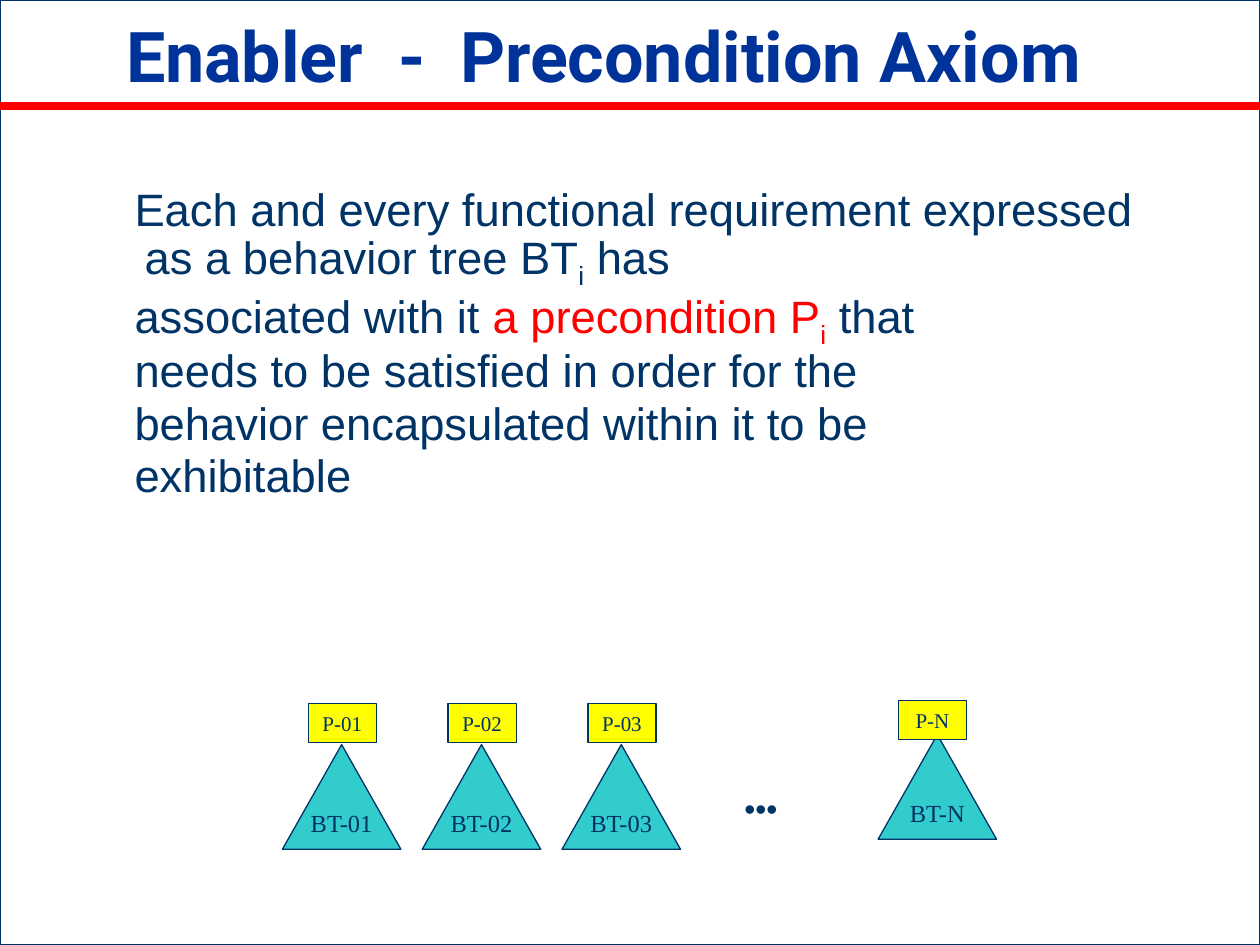
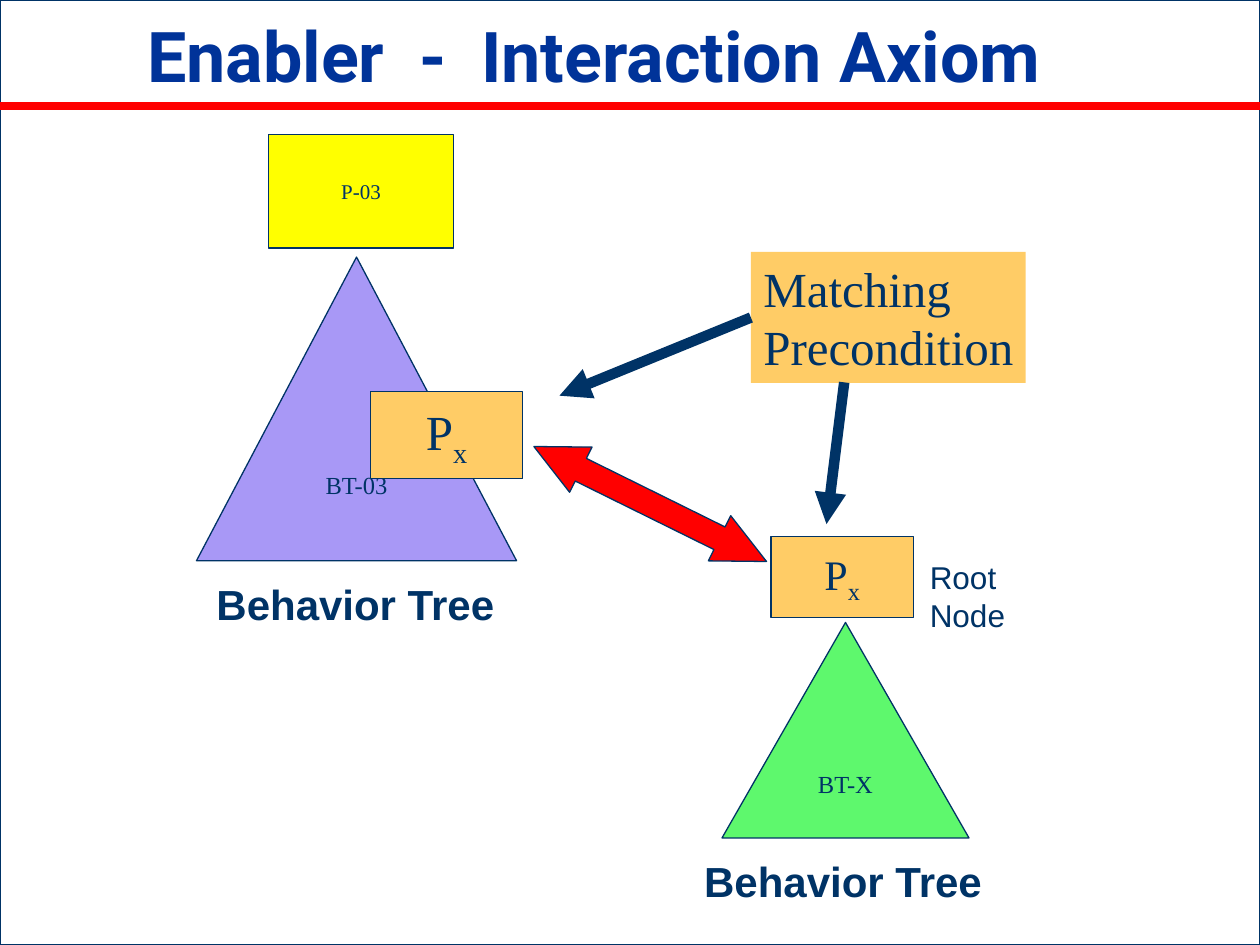
"""Build two slides on the precondition and interaction axioms of behavior trees."""
from pptx import Presentation
from pptx.dml.color import RGBColor
from pptx.enum import shapes, text
from pptx.oxml.ns import qn
from pptx.util import Pt
from lxml import etree

NAVY = RGBColor(0x00, 0x33, 0x66)
BLUE = RGBColor(0x00, 0x33, 0x99)
RED = RGBColor(0xFF, 0x00, 0x00)
WHITE = RGBColor(0xFF, 0xFF, 0xFF)
YELLOW = RGBColor(0xFF, 0xFF, 0x00)
TEAL = RGBColor(0x33, 0xCC, 0xCC)
VIOLET = RGBColor(0xA8, 0x98, 0xF6)
GREEN = RGBColor(0x5E, 0xF8, 0x6D)
ORANGE = RGBColor(0xFF, 0xCC, 0x66)
SANS, SERIF, HEAD = "Arial", "Times New Roman", "Roboto"
RECT = shapes.MSO_SHAPE.RECTANGLE
TRIANGLE = shapes.MSO_SHAPE.ISOSCELES_TRIANGLE
WIDTH, HEIGHT = 720, 540

AXIOM = [
    [("Each and every functional requirement expressed as a behavior tree BT", NAVY, False),
     ("i", NAVY, True), (" has", NAVY, False)],
    [("associated with it ", NAVY, False), ("a precondition P", RED, False),
     ("i", RED, True), (" that", NAVY, False)],
    [("needs to be satisfied in order for the", NAVY, False)],
    [("behavior encapsulated within it to be", NAVY, False)],
    [("exhibitable", NAVY, False)],
]
PX = [("P", NAVY, False), ("x", NAVY, True)]
NUMBERED = ["01", "02", "03"]
TREE_LEFT, TREE_STEP = 161.4, 79.9

INTERACTION_NODES = [
    (TRIANGLE, (112.3, 146.9, 182.9, 173.5), VIOLET, "BT-03", 14),
    (RECT, (153.4, 77, 105.8, 64.8), YELLOW, "P-03", 12),
    (TRIANGLE, (412.6, 355.7, 141.1, 123.1), GREEN, "BT-X", 14),
    (RECT, (440.6, 306.7, 81.4, 46.1), ORANGE, PX, 24),
    (RECT, (211.7, 223.9, 87.1, 49.7), ORANGE, PX, 28),
]
CAPTIONS = [
    ((116.6, 326.9, 174.2, 36), "Behavior Tree", 24, True),
    ((395.3, 485.3, 174.2, 36), "Behavior Tree", 24, True),
    ((524.2, 315.4, 100.1, 28.8), "Root Node", 18, False),
]


def pts(values):
    return [Pt(v) for v in values]


def write(p, runs, size, font, bold=False):
    if isinstance(runs, str):
        runs = [(runs, NAVY, False)]
    for words, colour, subscript in runs:
        r = p.add_run()
        r.text = words
        r.font.size, r.font.name, r.font.bold = Pt(size), font, bold
        r.font.color.rgb = colour
        if subscript:
            r._r.get_or_add_rPr().set("baseline", "-25000")


def add_block(s, kind, box, fill, outlined=True):
    sp = s.shapes.add_shape(kind, *pts(box))
    sp.shadow.inherit = False
    sp.fill.solid()
    sp.fill.fore_color.rgb = fill
    if outlined:
        sp.line.color.rgb, sp.line.width = NAVY, Pt(0.75)
    else:
        sp.line.fill.background()
    return sp


def add_node(s, kind, box, fill, label, size):
    tf = add_block(s, kind, box, fill).text_frame
    tf.word_wrap = False
    tf.vertical_anchor = text.MSO_ANCHOR.MIDDLE
    tf.paragraphs[0].alignment = text.PP_ALIGN.CENTER
    write(tf.paragraphs[0], label, size, SERIF)


def add_caption(s, box, label, size, bold):
    tf = s.shapes.add_textbox(*pts(box)).text_frame
    tf.word_wrap = False
    write(tf.paragraphs[0], label, size, SANS, bold)


def add_line(s, ends, colour, width, arrow=False):
    line = s.shapes.add_connector(shapes.MSO_CONNECTOR.STRAIGHT, *pts(ends))
    line.line.color.rgb, line.line.width = colour, Pt(width)
    if arrow:
        etree.SubElement(line.line._get_or_add_ln(), qn("a:tailEnd"), type="triangle")
    etree.SubElement(line._element.spPr, qn("a:effectLst"))
    return line


def add_slide(prs, title, left, width):
    s = prs.slides.add_slide(prs.slide_layouts[5])
    frame = add_block(s, RECT, (0, 0, WIDTH, HEIGHT), WHITE)
    s.shapes.element.insert(2, frame.element)
    sp = s.shapes.title
    sp.left, sp.top, sp.width, sp.height = pts((left, 3.6, width, 55.4))
    tf = sp.text_frame
    tf.word_wrap, tf.auto_size = True, text.MSO_AUTO_SIZE.NONE
    tf.vertical_anchor = text.MSO_ANCHOR.TOP
    tf.paragraphs[0].alignment = text.PP_ALIGN.LEFT
    write(tf.paragraphs[0], [(title, BLUE, False)], 40, HEAD, True)
    add_line(s, (-2.9, 60.5, WIDTH, 60.5), RED, 4.5)
    return s


def add_tree(s, left, top, root_left, root_top, number):
    add_node(s, TRIANGLE, (left, top, 67.7, 59.8), TEAL, f"BT-{number}", 14)
    add_node(s, RECT, (root_left, root_top, 38.9, 22.3), YELLOW, f"P-{number}", 12)


def build_precondition(prs):
    s = add_slide(prs, "Enabler  -  Precondition Axiom", 64.8, 614.2)
    for i, number in enumerate(NUMBERED):
        left = TREE_LEFT + i * TREE_STEP
        add_tree(s, left, 425.5, left + 14.8, 401.8, number)
    add_tree(s, 501.8, 419.8, 513.4, 400.3, "N")
    tf = s.shapes.add_textbox(*pts((48.2, 105.8, 635, 187.2))).text_frame
    tf.word_wrap = True
    for i, runs in enumerate(AXIOM):
        p = tf.add_paragraph() if i else tf.paragraphs[0]
        p.line_spacing, p.space_before = 0.8, Pt(5.3)
        pPr = p._p.get_or_add_pPr()
        pPr.set("marL", str(Pt(27.4)))
        pPr.set("indent", str(Pt(-5.8)))
        write(p, runs, 25.9, SANS)
    add_caption(s, (418.3, 447.1, 36.7, 28.8), "•••", 18, False)


def build_interaction(prs):
    s = add_slide(prs, "Enabler  -  Interaction Axiom", 77, 583.9)
    for node in INTERACTION_NODES:
        add_node(s, *node)
    match = add_block(s, RECT, (429.1, 144, 157, 74.9), ORANGE, outlined=False)
    tf = match.text_frame
    tf.word_wrap = False
    tf.vertical_anchor = text.MSO_ANCHOR.TOP
    for p, word in ((tf.paragraphs[0], "Matching"), (tf.add_paragraph(), "Precondition")):
        p.alignment = text.PP_ALIGN.LEFT
        write(p, word, 28, SERIF)
    to_leaf = add_line(s, (429.1, 181.4, 319.7, 226.1), NAVY, 6, arrow=True)
    to_leaf.begin_connect(match, 1)
    add_line(s, (482.4, 218.5, 472.3, 299.5), NAVY, 6, arrow=True)
    swap = add_block(s, shapes.MSO_SHAPE.LEFT_RIGHT_ARROW, (297.4, 273.6, 148.3, 28.8), RED)
    swap.adjustments[0], swap.adjustments[1] = 0.5, 1.04
    swap.rotation = 26.3
    for caption in CAPTIONS:
        add_caption(s, *caption)


def main():
    prs = Presentation()
    prs.slide_width, prs.slide_height = Pt(WIDTH), Pt(HEIGHT)
    build_precondition(prs)
    build_interaction(prs)
    prs.save("out.pptx")


if __name__ == "__main__":
    main()
